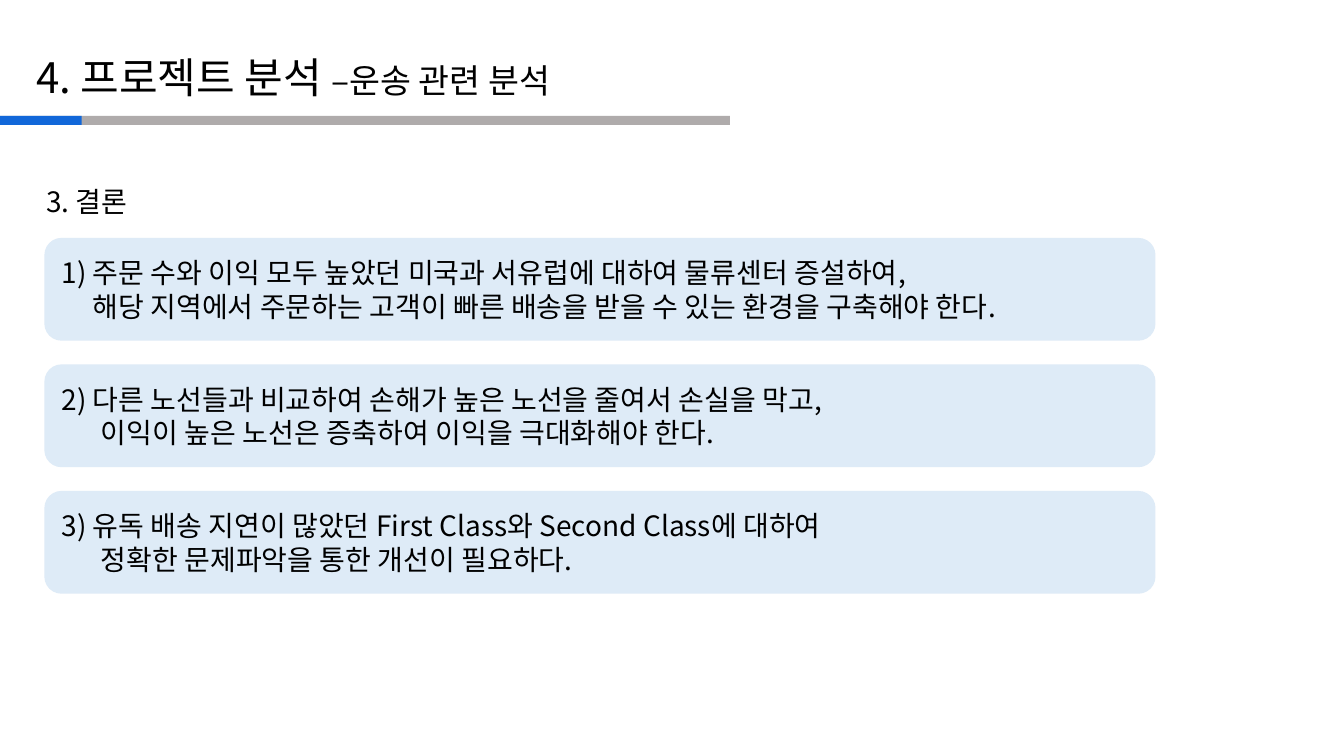
from lxml import etree
from pptx import Presentation
from pptx.dml.color import RGBColor
from pptx.enum.shapes import MSO_SHAPE
from pptx.enum.text import MSO_ANCHOR, MSO_AUTO_SIZE, PP_ALIGN
from pptx.oxml.ns import qn
from pptx.util import Inches, Pt

RECT, ROUNDED = MSO_SHAPE.RECTANGLE, MSO_SHAPE.ROUNDED_RECTANGLE
MIDDLE, TOP = MSO_ANCHOR.MIDDLE, MSO_ANCHOR.TOP
LEFT, NO_FIT = PP_ALIGN.LEFT, MSO_AUTO_SIZE.NONE

# Content: text runs are (words, size role)
TITLE = [("4. 프로젝트 분석 ", "title"), ("–운송 관련 분석", "subtitle")]
HEADING = "3. 결론"
# Conclusions: first line, second line, indent of the second line
CONCLUSIONS = [
    ("1) 주문 수와 이익 모두 높았던 미국과 서유럽에 대하여 물류센터 증설하여,",
     "해당 지역에서 주문하는 고객이 빠른 배송을 받을 수 있는 환경을 구축해야 한다.", 0.31),
    ("2) 다른 노선들과 비교하여 손해가 높은 노선을 줄여서 손실을 막고,",
     "이익이 높은 노선은 증축하여 이익을 극대화해야 한다.", 0.39),
    ("3) 유독 배송 지연이 많았던 First Class와 Second Class에 대하여",
     "정확한 문제파악을 통한 개선이 필요하다.", 0.39),
]

THEME = {
    "font": "Noto Sans CJK KR",
    "title": 30, "subtitle": 24, "body": 20,
    "text": "000000", "accent": "1167D9", "rule": "AFABAB", "card": "DEEBF7",
}
LINE_RATIO = 1.2

# Layout in inches
RULE_TOP, RULE_HEIGHT = 1.15, 0.09
RULES = [(7.24, "rule"), (0.81, "accent")]
CARD_LEFT, CARD_TOP, CARD_WIDTH, CARD_HEIGHT = 0.44, 2.36, 11.02, 1.02
CARD_PITCH = 1.255
PAD_X, PAD_Y = 0.17, 0.17


def add_panel(slide, kind, box, color):
    panel = slide.shapes.add_shape(kind, *map(Inches, box))
    panel.shadow.inherit = False
    panel.fill.solid()
    panel.fill.fore_color.rgb = RGBColor.from_string(THEME[color])
    panel.line.fill.background()


def write(shape, paragraphs, anchor=MIDDLE, inset_x=0, inset_y=0):
    """Each paragraph is (runs, left indent in inches)."""
    frame = shape.text_frame
    frame_format = {
        "word_wrap": True, "auto_size": NO_FIT, "vertical_anchor": anchor,
        "margin_left": Inches(inset_x), "margin_right": Inches(inset_x),
        "margin_top": Inches(inset_y), "margin_bottom": Inches(inset_y),
    }
    for key, value in frame_format.items():
        setattr(frame, key, value)
    for number, (runs, indent) in enumerate(paragraphs):
        paragraph = frame.add_paragraph() if number else frame.paragraphs[0]
        paragraph.alignment = LEFT
        paragraph.line_spacing = Pt(THEME[runs[0][1]] * LINE_RATIO)
        if indent:
            paragraph._p.get_or_add_pPr().set("marL", str(Inches(indent)))
        for words, role in runs:
            run = paragraph.add_run()
            run.text = words
            run.font.size = Pt(THEME[role])
            run.font.color.rgb = RGBColor.from_string(THEME["text"])
            run.font.name = THEME["font"]
            east_asian = etree.SubElement(run._r.get_or_add_rPr(), qn("a:ea"))
            east_asian.set("typeface", THEME["font"])


def main():
    deck = Presentation()
    deck.slide_width, deck.slide_height = Inches(13.33), Inches(7.5)
    slide = deck.slides.add_slide(deck.slide_layouts[5])

    # Title and the two-colour rule under it
    title = slide.shapes.title
    title.left, title.top = Inches(0.36), Inches(0.51)
    title.width, title.height = Inches(6.96), Inches(0.5)
    write(title, [(TITLE, 0)])
    for width, color in RULES:
        add_panel(slide, RECT, (0, RULE_TOP, width, RULE_HEIGHT), color)

    # Section heading
    heading = slide.shapes.add_textbox(*map(Inches, (0.36, 1.78, 5.55, 0.44)))
    write(heading, [([(HEADING, "body")], 0)], TOP, 0.1, 0.05)

    # Conclusion cards
    for row, (first, second, indent) in enumerate(CONCLUSIONS):
        top = CARD_TOP + row * CARD_PITCH
        add_panel(slide, ROUNDED, (CARD_LEFT, top, CARD_WIDTH, CARD_HEIGHT), "card")
        text_box = (CARD_LEFT + PAD_X, top + PAD_Y,
                    CARD_WIDTH - 2 * PAD_X, CARD_HEIGHT - 2 * PAD_Y)
        conclusion = slide.shapes.add_textbox(*map(Inches, text_box))
        write(conclusion, [([(first, "body")], 0), ([(second, "body")], indent)])

    deck.save("out.pptx")


if __name__ == "__main__":
    main()
